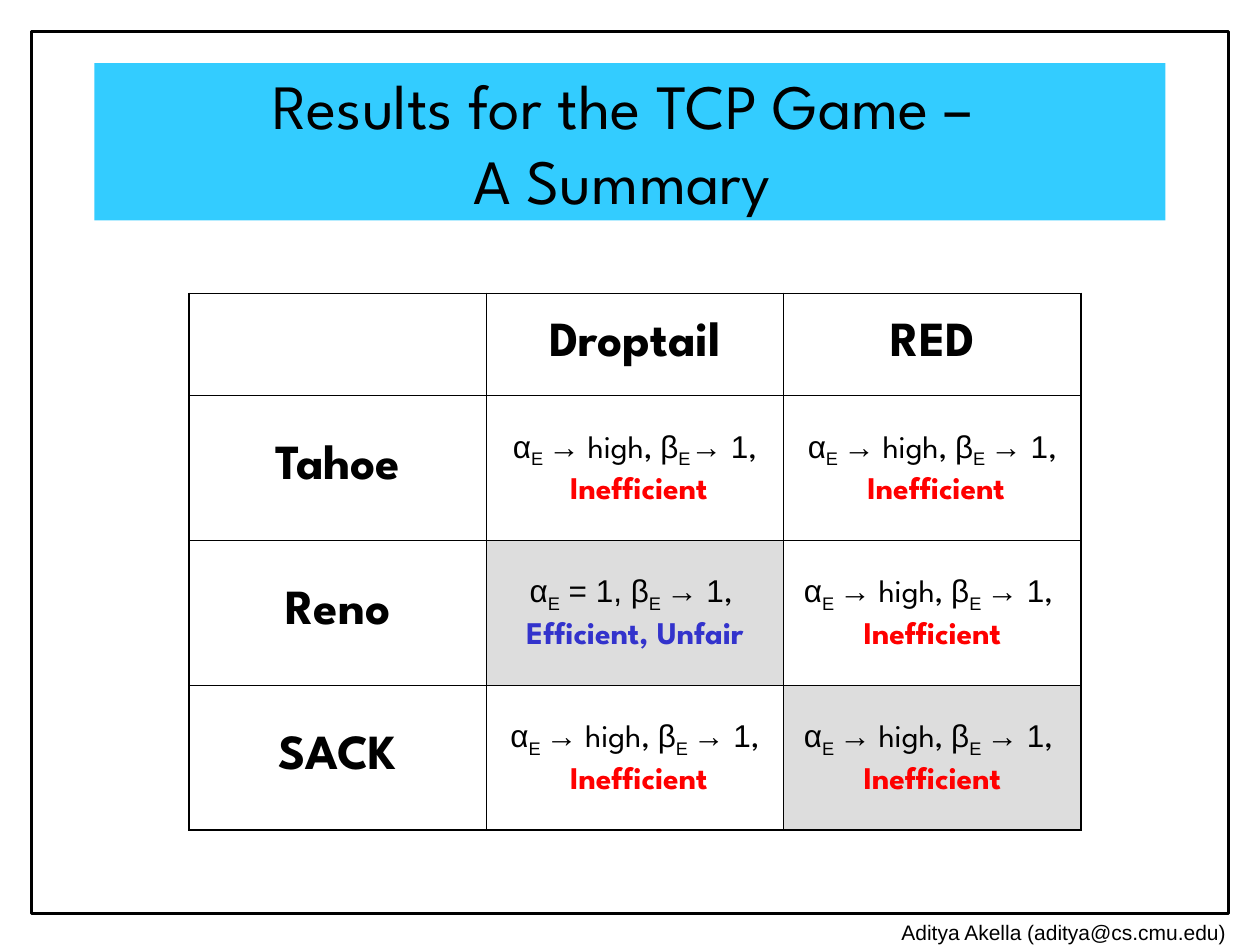
from lxml import etree
from pptx import Presentation
from pptx.dml.color import RGBColor
from pptx.enum.shapes import MSO_SHAPE
from pptx.enum.text import MSO_ANCHOR, PP_ALIGN
from pptx.oxml.ns import qn
from pptx.util import Inches, Pt

RECTANGLE = MSO_SHAPE.RECTANGLE
MIDDLE = MSO_ANCHOR.MIDDLE
CENTER, RIGHT = PP_ALIGN.CENTER, PP_ALIGN.RIGHT

COLORS = {"black": "000000", "banner": "33CCFF", "shade": "DDDDDD",
          "bad": "FF0000", "good": "3333CC"}
DISPLAY, SYMBOL = "League Spartan", "Arial"

# Run formats: font attributes, with "color" and "baseline" handled apart
FORMATS = {
    "title": {"name": DISPLAY, "size": Pt(36)},
    "footer": {"name": SYMBOL, "size": Pt(12)},
    "heading": {"name": DISPLAY, "size": Pt(28), "bold": True},
    "word": {"name": DISPLAY, "size": Pt(18), "bold": False},
    "symbol": {"name": SYMBOL, "size": Pt(18), "bold": False},
    "sub": {"name": SYMBOL, "size": Pt(18), "bold": False, "baseline": "-25000"},
    "bad": {"name": DISPLAY, "size": Pt(18), "bold": True, "color": "bad"},
    "good": {"name": DISPLAY, "size": Pt(18), "bold": True, "color": "good"},
}

# Content
TITLE = "Results for the TCP Game – \vA Summary "
FOOTER = "Aditya Akella (aditya@cs.cmu.edu)"


def high_alpha(beta_gap=" ", end=","):
    """Runs for the outcome where alpha grows high and beta tends to 1."""
    return [("α", "symbol"), ("Ε ", "sub"), ("→", "symbol"), (" high, ", "word"),
            ("β", "symbol"), ("Ε" + beta_gap, "sub"), ("→ 1", "symbol"), (end, "word")]


UNIT_ALPHA = [("α", "symbol"), ("Ε", "sub"), (" = 1, β", "symbol"),
              ("Ε ", "sub"), ("→ 1", "symbol"), (", ", "word")]
INEFFICIENT = [("Inefficient", "bad")]
INDENTED_INEFFICIENT = [(" ", "word")] + INEFFICIENT
UNFAIR = [("Efficient, Unfair", "good")]


def heading(text):
    return [[(text, "heading")]]


# Each cell is a list of paragraphs, each paragraph a list of runs
RESULTS = [
    [[], heading("Droptail"), heading("RED")],
    [heading("Tahoe"),
     [high_alpha(beta_gap=""), INDENTED_INEFFICIENT],
     [high_alpha(), INDENTED_INEFFICIENT]],
    [heading("Reno"),
     [UNIT_ALPHA, UNFAIR],
     [high_alpha(end=", "), INEFFICIENT]],
    [heading("SACK"),
     [high_alpha(), INDENTED_INEFFICIENT],
     [high_alpha(end=", "), INEFFICIENT]],
]
SHADED = {(2, 1), (3, 2)}

# Table layout
TABLE_LEFT, TABLE_TOP = 1.5, 2.33
COLUMN_WIDTH = 2.36
ROW_HEIGHTS = [0.81, 1.15, 1.15, 1.15]
OUTER_LINE, INNER_LINE = Pt(1.08), Pt(0.45)


def rgb(name):
    return RGBColor.from_string(COLORS[name])


def write(frame, paragraphs, align):
    for index, runs in enumerate(paragraphs):
        paragraph = frame.paragraphs[0] if index == 0 else frame.add_paragraph()
        paragraph.alignment = align
        if index:
            paragraph.space_before = Pt(4.5)
        for text, format_name in runs:
            # A vertical tab in the text marks a line break
            for part, line in enumerate(text.split("\v")):
                if part:
                    paragraph.add_line_break()
                run = paragraph.add_run()
                run.text = line
                values = dict(FORMATS[format_name])
                run.font.color.rgb = rgb(values.pop("color", "black"))
                if "baseline" in values:
                    run.font._element.set("baseline", values.pop("baseline"))
                for attribute, value in values.items():
                    setattr(run.font, attribute, value)


def set_borders(cell, widths):
    properties = cell._tc.get_or_add_tcPr()
    for position, (side, width) in enumerate(widths.items()):
        line = etree.Element(qn(f"a:ln{side}"), w=str(int(width)))
        fill = etree.SubElement(line, qn("a:solidFill"))
        etree.SubElement(fill, qn("a:srgbClr"), val=COLORS["black"])
        properties.insert(position, line)


def add_rectangle(slide, left, top, width, height):
    shape = slide.shapes.add_shape(RECTANGLE, Inches(left), Inches(top),
                                   Inches(width), Inches(height))
    shape.shadow.inherit = False
    return shape


def add_results(slide):
    rows, columns = len(RESULTS), len(RESULTS[0])
    table = slide.shapes.add_table(
        rows, columns, Inches(TABLE_LEFT), Inches(TABLE_TOP),
        Inches(COLUMN_WIDTH * columns), Inches(sum(ROW_HEIGHTS))).table
    table.first_row = table.horz_banding = False
    for column in table.columns:
        column.width = Inches(COLUMN_WIDTH)
    for row, height in zip(table.rows, ROW_HEIGHTS):
        row.height = Inches(height)

    for r, row in enumerate(RESULTS):
        for c, paragraphs in enumerate(row):
            cell = table.cell(r, c)
            cell.vertical_anchor = MIDDLE
            write(cell.text_frame, paragraphs, CENTER)
            if (r, c) in SHADED:
                cell.fill.solid()
                cell.fill.fore_color.rgb = rgb("shade")
            else:
                cell.fill.background()
            on_edge = {"L": c == 0, "R": c == columns - 1,
                       "T": r == 0, "B": r == rows - 1}
            set_borders(cell, {side: OUTER_LINE if edge else INNER_LINE
                               for side, edge in on_edge.items()})


def main():
    deck = Presentation()
    deck.slide_width, deck.slide_height = Inches(10), Inches(7.5)
    slide = deck.slides.add_slide(deck.slide_layouts[6])

    # Page frame
    page_frame = add_rectangle(slide, 0.25, 0.25, 9.5, 7)
    page_frame.fill.background()
    page_frame.line.color.rgb = rgb("black")
    page_frame.line.width = Pt(1.5)

    # Author line
    author = slide.shapes.add_textbox(Inches(5.83), Inches(7.25), Inches(4), Inches(0.42))
    author.text_frame.word_wrap = True
    write(author.text_frame, [[(FOOTER, "footer")]], RIGHT)

    # Title banner
    banner = add_rectangle(slide, 0.75, 0.5, 8.5, 1.25)
    banner.fill.solid()
    banner.fill.fore_color.rgb = rgb("banner")
    banner.line.fill.background()
    banner.text_frame.word_wrap = True
    banner.text_frame.vertical_anchor = MIDDLE
    write(banner.text_frame, [[(TITLE, "title")]], CENTER)

    # Results table
    add_results(slide)
    deck.save("out.pptx")


if __name__ == "__main__":
    main()
